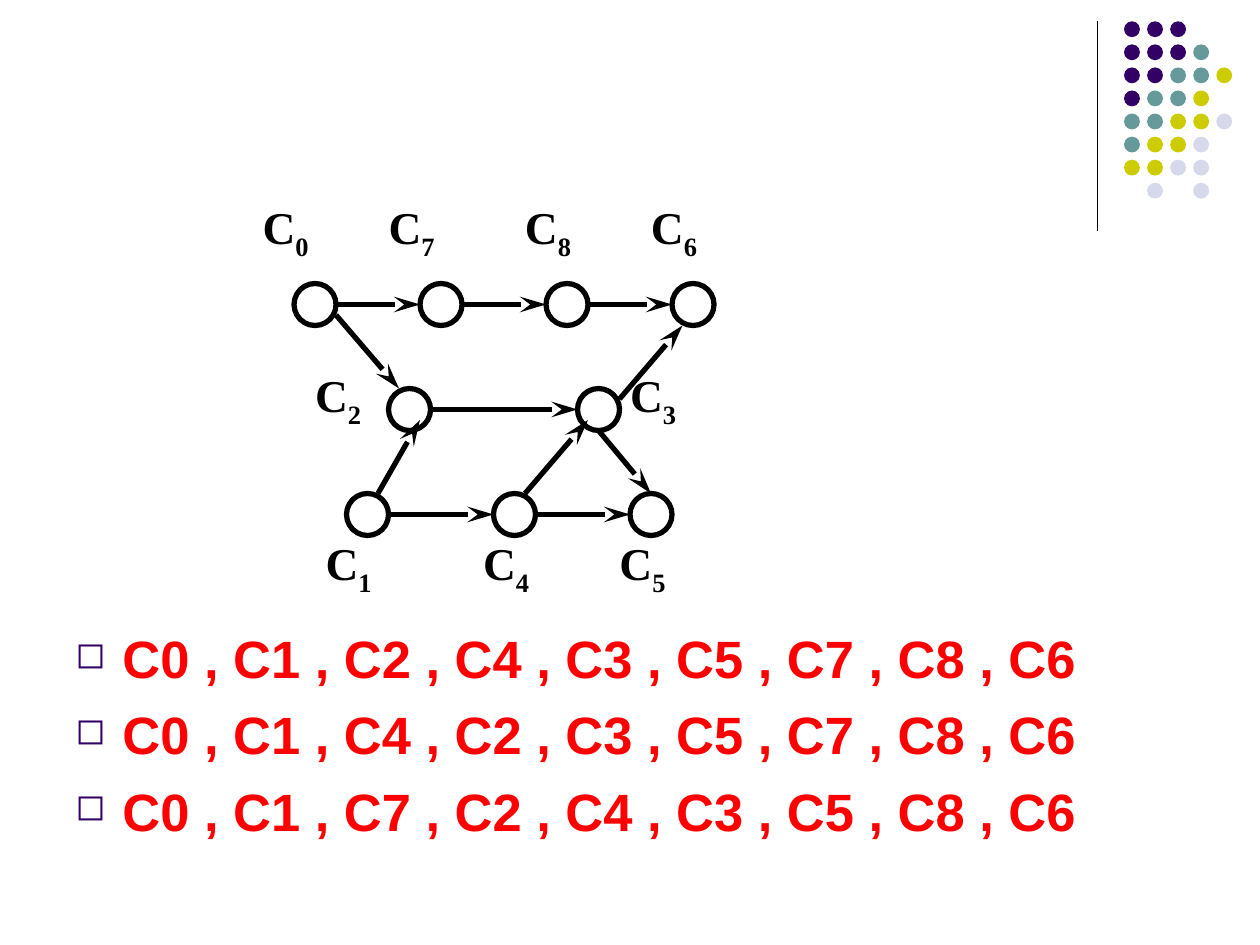
"""Build a slide with a course precedence graph and its topological orders."""
from dataclasses import dataclass

from lxml.etree import SubElement
from pptx import Presentation
from pptx.dml.color import RGBColor
from pptx.enum.shapes import MSO_CONNECTOR, MSO_SHAPE
from pptx.oxml.ns import qn
from pptx.util import Cm, Pt


@dataclass(frozen=True)
class Theme:
    ink: str = "000000"
    order: str = "FF0000"
    purple: str = "330066"
    teal: str = "669999"
    olive: str = "CCCC00"
    lilac: str = "D8D8EC"
    order_font: str = "Arial"
    label_font: str = "Times New Roman"
    order_size: float = 30
    label_size: float = 26
    graph_line: float = 3
    rule_line: float = 0.75


THEME = Theme()
DOT_COLOURS = {"P": THEME.purple, "T": THEME.teal, "O": THEME.olive, "L": THEME.lilac}
DOT_ROWS = ["PPP", "PPPT", "PPTTO", "PTTO", "TTOOL", "TOOL", "OOLL", " L L"]

COURSES = {
    "0": {"node": (28, 27), "label": (25, 19)},
    "7": {"node": (40, 27), "label": (37, 19)},
    "8": {"node": (52, 27), "label": (50, 19)},
    "6": {"node": (64, 27), "label": (62, 19)},
    "2": {"node": (37, 37), "label": (30, 35)},
    "3": {"node": (55, 37), "label": (60, 35)},
    "1": {"node": (33, 47), "label": (31, 51)},
    "4": {"node": (47, 47), "label": (46, 51)},
    "5": {"node": (60, 47), "label": (59, 51)},
}
LEFT, RIGHT = (0, 2), (4, 2)
PREREQUISITES = [
    ("0", RIGHT, "7", LEFT),
    ("7", RIGHT, "8", LEFT),
    ("8", RIGHT, "6", LEFT),
    ("0", (4, 3), "2", (1, 0)),
    ("1", (3, 0), "2", (3, 3)),
    ("1", RIGHT, "4", LEFT),
    ("4", RIGHT, "5", LEFT),
    ("4", (3, 0), "3", (1, 3)),
    ("3", (4, 1), "6", (1, 4)),
    ("3", (2, 4), "5", (2, 0)),
    ("2", RIGHT, "3", LEFT),
]
ORDERS = ["012435786", "014235786", "017243586"]

GRID = 25.4 / 120
NODE_SIZE = 4
DOT_LEFT, DOT_TOP, DOT_PITCH, DOT_SIZE = 22.66, 0.43, 0.465, 0.32


def on_grid(*steps):
    return [Cm(step * GRID) for step in steps]


def add_circle(slide, left, top, size):
    circle = slide.shapes.add_shape(MSO_SHAPE.OVAL, left, top, size, size)
    circle.shadow.inherit = False
    return circle


def add_line(slide, start, end, width):
    line = slide.shapes.add_connector(MSO_CONNECTOR.STRAIGHT, *start, *end)
    line.line.color.rgb = RGBColor.from_string(THEME.ink)
    line.line.width = Pt(width)
    SubElement(line._element.spPr, qn("a:effectLst"))
    return line


def add_frame(slide, left, top, width, height):
    frame = slide.shapes.add_textbox(left, top, width, height).text_frame
    frame.word_wrap = True
    return frame


def add_run(paragraph, text, font, size, colour):
    run = paragraph.add_run()
    run.text = text
    run.font.name, run.font.size, run.font.bold = font, Pt(size), True
    run.font.color.rgb = RGBColor.from_string(colour)
    return run


def add_dots(slide):
    for row, codes in enumerate(DOT_ROWS):
        for column, code in enumerate(codes):
            if code in DOT_COLOURS:
                dot = add_circle(slide, Cm(DOT_LEFT + column * DOT_PITCH),
                                 Cm(DOT_TOP + row * DOT_PITCH), Cm(DOT_SIZE))
                dot.fill.solid()
                dot.fill.fore_color.rgb = RGBColor.from_string(DOT_COLOURS[code])
                dot.line.fill.background()


def add_orders(slide):
    frame = add_frame(slide, Cm(1.27), Cm(12.5), Cm(22.86), Cm(4.5))
    for index, order in enumerate(ORDERS):
        paragraph = frame.paragraphs[0] if index == 0 else frame.add_paragraph()
        properties = paragraph._p.get_or_add_pPr()
        properties.set("marL", str(Cm(0.95)))
        properties.set("indent", str(-Cm(0.95)))
        bullet_colour = SubElement(properties, qn("a:buClr"))
        SubElement(bullet_colour, qn("a:srgbClr"), val=THEME.purple)
        SubElement(properties, qn("a:buSzPct"), val="70000")
        SubElement(properties, qn("a:buChar"), char="◻")
        if index:
            paragraph.space_before = Pt(7.5)
        add_run(paragraph, " , ".join(f"C{course}" for course in order),
                THEME.order_font, THEME.order_size, THEME.order)


def add_label(slide, course, position):
    frame = add_frame(slide, *on_grid(*position, 8, 6))
    frame.margin_left = frame.margin_top = frame.margin_right = frame.margin_bottom = 0
    style = THEME.label_font, THEME.label_size, THEME.ink
    add_run(frame.paragraphs[0], "C", *style)
    subscript = add_run(frame.paragraphs[0], course, *style)
    subscript._r.get_or_add_rPr().set("baseline", "-25000")


def add_graph(slide):
    for course in COURSES.values():
        node = add_circle(slide, *on_grid(*course["node"], NODE_SIZE))
        node.fill.background()
        node.line.color.rgb = RGBColor.from_string(THEME.ink)
        node.line.width = Pt(THEME.graph_line)
    for source, exit_point, target, entry_point in PREREQUISITES:
        start, end = (
            on_grid(*map(sum, zip(COURSES[course]["node"], offset)))
            for course, offset in ((source, exit_point), (target, entry_point))
        )
        arrow = add_line(slide, start, end, THEME.graph_line)
        SubElement(arrow.line._get_or_add_ln(), qn("a:tailEnd"),
                   type="stealth", w="med", len="lg")
    for name, course in COURSES.items():
        add_label(slide, name, course["label"])


def main():
    presentation = Presentation()
    presentation.slide_width, presentation.slide_height = Cm(25.4), Cm(19.05)
    slide = presentation.slides.add_slide(presentation.slide_layouts[6])
    add_line(slide, (Cm(22.12), Cm(0.43)), (Cm(22.12), Cm(4.65)), THEME.rule_line)
    add_dots(slide)
    add_orders(slide)
    add_graph(slide)
    presentation.save("out.pptx")


if __name__ == "__main__":
    main()
